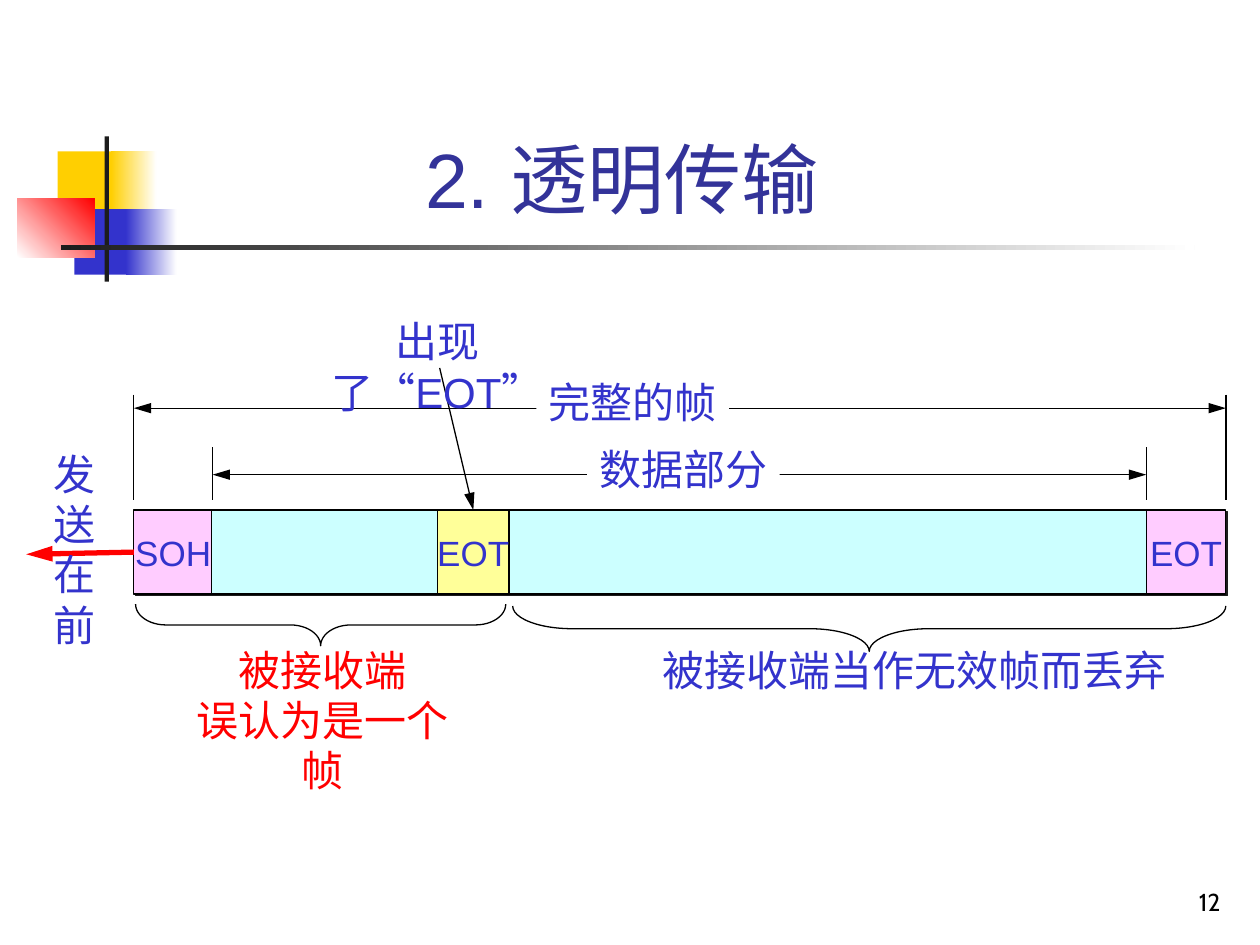
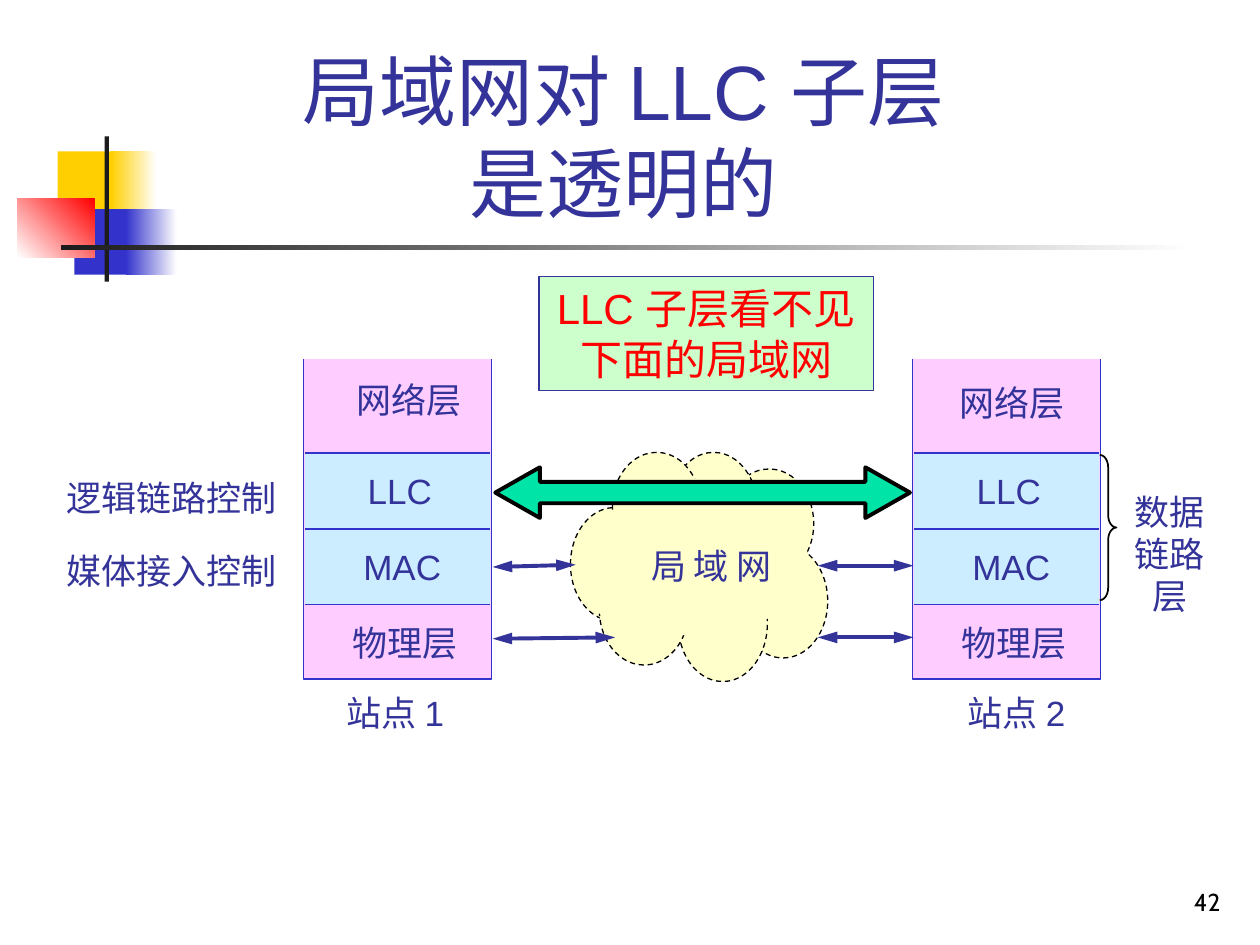
from lxml.etree import SubElement
from pptx import Presentation
from pptx.dml.color import RGBColor
from pptx.enum.dml import MSO_LINE
from pptx.enum.shapes import MSO_CONNECTOR, MSO_SHAPE
from pptx.enum.text import MSO_ANCHOR, PP_ALIGN
from pptx.oxml.ns import qn
from pptx.util import Pt

COLORS = {
    "yellow": "FFCF01", "blue": "3333CC", "red": "FF0000", "ink": "1C1C1C",
    "white": "FFFFFF", "black": "000000", "navy": "333399", "pink": "FFCCFF",
    "cyan": "CCFFFF", "pale yellow": "FFFF99", "sky": "CCECFF",
    "cream": "FFFFCC", "mint": "CCFFCC", "green": "00E4A8",
}

# Shared decoration: box, colours (two make a gradient), gradient angle
DECORATION = [
    ((33, 86.5, 34.5, 37.5), ("yellow",), 0),
    ((63.5, 86.5, 26, 37.5), ("yellow", "white"), 0),
    ((42.5, 119.5, 33, 37.5), ("blue",), 0),
    ((72, 119.5, 29, 37.5), ("blue", "white"), 0),
    ((10, 113.5, 44, 33.5), ("white", "red"), 45),
    ((59.75, 78, 2.5, 83), ("ink",), 0),
    ((34.75, 140.25, 648, 2.5), ("ink", "white"), 0),
]
PAGE_NUMBER_BOX = (554.5, 491.5, 150, 36)

# Slide 1: frame
FRAME_TITLE = ("2. 透明传输", (90.5, 16.5, 530, 115))
FRAME_TOP, FRAME_HEIGHT = 291.5, 48
# name, left, width, colour, has shadow, text
FRAME_FIELDS = [
    ("header", 76.5, 45, "pink", True, "SOH"),
    ("data", 121, 547, "cyan", True, ""),
    ("false end", 250, 41, "pale yellow", False, "EOT"),
    ("trailer", 655, 45.5, "pink", True, "EOT"),
]
# text, left, right, line height, top of end marks, label left
SPANS = [
    ("数据部分", 121.5, 655, 271.25, 255.5, 335.5),
    ("完整的帧", 76.5, 700.5, 233.25, 225.5, 306.5),
]
SPAN_MARK_BOTTOM = 286
# left, top, width, depth, corner ratio
FRAME_BRACES = [
    (77.5, 345.25, 211.5, 23.75, 0.73),
    (293, 346.25, 407.5, 26, 1.31),
]
FRAME_NOTES = [
    ("出现\n了“EOT”", (160, 177, 180, 36), "blue"),
    ("被接收端当作无效帧而丢弃", (371.5, 364.5, 302.5, 36), "blue"),
    ("被接收端\n误认为是一个帧", (93.5, 364.5, 182, 65), "red"),
    ("发送\n在前", (11.5, 252.5, 62, 65), "blue"),
]

# Slide 2: two stations on a network
NETWORK_TITLE = ("局域网对 LLC 子层\n是透明的", (86.5, 73.5, 540, 60.5))
STACK_TOP, STACK_BOTTOM, STACK_WIDTH = 205, 388, 107.5
LAYER_BORDERS = (259, 302.25, 345.5)
STATIONS = [
    {"left": 173.5, "labels": [("网络层", 23, 213), ("站点 1", 17.5, 391.5)]},
    {"left": 521.5, "labels": [("网络层", 19.5, 214.5), ("站点 2", 24.5, 391.5)]},
]
SHARED_LABELS = [("LLC", 29.5, 265), ("MAC", 27, 308), ("物理层", 21, 351.5)]
LABEL_WIDTHS = {"LLC": 51, "MAC": 59}
CLOUD_PUFFS = [
    (422, 311, 51, 65), (326, 290, 50.5, 65), (414, 268, 51, 62.5),
    (387.5, 323.5, 51, 66), (342.5, 317.5, 51, 62.5), (382.5, 258.5, 50.5, 65),
    (350, 258.5, 50.5, 62),
]
CLOUD_CENTER = (339, 273.5, 122.5, 90)
CLOUD_PATCH = [(344, 334), (347, 337), (344, 351), (340, 350), (342, 344)]
NETWORK_ARROWS = [
    ((281.5, 365), (351.5, 364.25)), ((522, 364.25), (467.25, 364.25)),
    ((281.5, 324), (329, 322.75)), ((522, 323.25), (467.25, 323.25)),
]
NETWORK_NOTES = [
    ("局 域 网", (365, 307.5, 83.5, 31), PP_ALIGN.LEFT),
    ("逻辑链路控制", (31, 268.5, 134.5, 31), PP_ALIGN.LEFT),
    ("媒体接入控制", (31, 310.5, 134.5, 31), PP_ALIGN.LEFT),
    ("数据\n链路层", (631.5, 277, 74, 55), PP_ALIGN.CENTER),
]


def color(name):
    return RGBColor.from_string(COLORS[name])


def points(values):
    return [Pt(value) for value in values]


def write_text(shape, text, *, size=24, ink="blue", align=PP_ALIGN.CENTER,
               anchor=MSO_ANCHOR.TOP, font="Arial", wrap=False):
    frame = shape.text_frame
    frame.word_wrap = wrap
    frame.vertical_anchor = anchor
    for index, line in enumerate(text.split("\n")):
        paragraph = frame.add_paragraph() if index else frame.paragraphs[0]
        paragraph.alignment = align
        run = paragraph.add_run()
        run.text = line
        run.font.name = font
        run.font.size = Pt(size)
        run.font.color.rgb = color(ink)


def add_label(slide, text, box, **text_format):
    write_text(slide.shapes.add_textbox(*points(box)), text, **text_format)


def paint(shape, fill=None, line=None, width=0.75):
    shape.shadow.inherit = False
    if fill:
        shape.fill.solid()
        shape.fill.fore_color.rgb = color(fill)
    else:
        shape.fill.background()
    if line:
        shape.line.color.rgb = color(line)
        shape.line.width = Pt(width)
    else:
        shape.line.fill.background()


def add_shape(slide, kind, box, **look):
    shape = slide.shapes.add_shape(kind, *points(box))
    paint(shape, **look)
    return shape


def add_outline(slide, corners, close, **look):
    builder = slide.shapes.build_freeform(*points(corners[0]), scale=1.0)
    builder.add_line_segments([points(corner) for corner in corners[1:]], close=close)
    paint(builder.convert_to_shape(), **look)


def add_line(slide, start, end, ink="black", width=0.75, heads=()):
    connector = slide.shapes.add_connector(
        MSO_CONNECTOR.STRAIGHT, *points(start), *points(end))
    connector.line.color.rgb = color(ink)
    connector.line.width = Pt(width)
    outline = connector.line._get_or_add_ln()
    for head in heads:
        SubElement(outline, qn(f"a:{head}"), type="triangle", w="med", len="lg")
    SubElement(connector._element.spPr, qn("a:effectLst"))
    return connector


def add_hard_shadow(shape):
    effects = shape._element.spPr.find(qn("a:effectLst"))
    shadow = SubElement(effects, qn("a:outerShdw"), dist=str(Pt(1.4)),
                        dir="2700000", algn="ctr", rotWithShape="0")
    SubElement(shadow, qn("a:srgbClr"), val=COLORS["ink"])


def add_base_slide(presentation, title, page_number):
    """Add a slide with the shared decoration, title and page number."""
    slide = presentation.slides.add_slide(presentation.slide_layouts[6])
    for box, colors, angle in DECORATION:
        block = add_shape(slide, MSO_SHAPE.RECTANGLE, box, fill=colors[0])
        if len(colors) == 2:
            block.fill.gradient()
            block.fill.gradient_angle = angle
            for stop, name in zip(block.fill.gradient_stops, colors):
                stop.color.rgb = color(name)
    add_label(slide, *title, size=44, ink="navy", anchor=MSO_ANCHOR.BOTTOM, wrap=True)
    add_label(slide, page_number, PAGE_NUMBER_BOX, size=14, ink="black", font="Cabin",
              align=PP_ALIGN.RIGHT, anchor=MSO_ANCHOR.BOTTOM, wrap=True)
    return slide


def add_downward_brace(slide, left, top, width, depth, corner):
    """Turn a left brace so that it spans width and points down."""
    middle_x, middle_y = left + width / 2, top + depth / 2
    box = (middle_x - depth / 2, middle_y - width / 2, depth, width)
    brace = add_shape(slide, MSO_SHAPE.LEFT_BRACE, box, line="black")
    brace.rotation = 270
    brace.adjustments[0] = corner


def build_frame_slide(presentation):
    slide = add_base_slide(presentation, FRAME_TITLE, "12")
    fields = {}
    for name, left, width, fill, has_shadow, text in FRAME_FIELDS:
        field = add_shape(slide, MSO_SHAPE.RECTANGLE,
                          (left, FRAME_TOP, width, FRAME_HEIGHT), fill=fill, line="black")
        if has_shadow:
            add_hard_shadow(field)
        if text:
            write_text(field, text, size=20, anchor=MSO_ANCHOR.MIDDLE)
        fields[name] = field

    send_arrow = add_line(slide, (76.5, 316), (15, 316.75), "red", 3, ["tailEnd"])
    send_arrow.begin_connect(fields["header"], 1)
    pointer = add_line(slide, (251.25, 210.25), (270.5, FRAME_TOP), heads=["tailEnd"])
    pointer.end_connect(fields["false end"], 0)

    for text, left, right, height, mark_top, label_left in SPANS:
        add_line(slide, (left, height), (right, height), heads=["headEnd", "tailEnd"])
        label = add_shape(slide, MSO_SHAPE.RECTANGLE,
                          (label_left, height - 21.5, 110, 36), fill="white")
        write_text(label, text)
        for x in (left, right):
            add_line(slide, (x, mark_top), (x, SPAN_MARK_BOTTOM))
    for brace in FRAME_BRACES:
        add_downward_brace(slide, *brace)
    for text, box, ink in FRAME_NOTES:
        add_label(slide, text, box, ink=ink)


def add_station(slide, left, labels):
    right = left + STACK_WIDTH
    add_outline(slide, [(left, STACK_TOP), (left, STACK_BOTTOM),
                        (right, STACK_BOTTOM), (right, STACK_TOP)],
                close=False, fill="pink", line="blue")
    top, bottom = LAYER_BORDERS[0], LAYER_BORDERS[-1]
    add_shape(slide, MSO_SHAPE.RECTANGLE,
              (left + 0.75, top, STACK_WIDTH - 1.5, bottom - top), fill="sky")
    for y in LAYER_BORDERS:
        add_line(slide, (left + 0.75, y), (right - 0.75, y), "blue", 1)
    for text, offset, y in labels + SHARED_LABELS:
        add_label(slide, text, (left + offset, y, LABEL_WIDTHS.get(text, 74.5), 31),
                  size=20, ink="navy", align=PP_ALIGN.LEFT)


def add_cloud(slide):
    for puff in CLOUD_PUFFS:
        shape = add_shape(slide, MSO_SHAPE.OVAL, puff, fill="cream", line="black")
        shape.line.dash_style = MSO_LINE.DASH
    add_shape(slide, MSO_SHAPE.OVAL, CLOUD_CENTER, fill="cream")
    add_outline(slide, CLOUD_PATCH, close=True, fill="cream")


def build_network_slide(presentation):
    slide = add_base_slide(presentation, NETWORK_TITLE, "42")
    for station in STATIONS:
        add_station(slide, **station)
    add_cloud(slide)
    for start, end in NETWORK_ARROWS:
        add_line(slide, start, end, "navy", 2.25, ["headEnd", "tailEnd"])
    link = add_shape(slide, MSO_SHAPE.LEFT_RIGHT_ARROW, (283, 267, 237, 29),
                     fill="green", line="black", width=2.25)
    link.adjustments[0], link.adjustments[1] = 0.42, 0.88
    brace = add_shape(slide, MSO_SHAPE.RIGHT_BRACE, (628.5, 260, 9.5, 83),
                      line="black", width=1)
    brace.adjustments[0] = 0.75
    for text, box, align in NETWORK_NOTES:
        add_label(slide, text, box, size=20, ink="navy", align=align)
    callout = add_shape(slide, MSO_SHAPE.RECTANGLE, (308, 158, 191, 65),
                        fill="mint", line="navy")
    write_text(callout, "LLC 子层看不见\n下面的局域网", ink="red")


def main():
    presentation = Presentation()
    presentation.slide_width, presentation.slide_height = Pt(720), Pt(540)
    build_frame_slide(presentation)
    build_network_slide(presentation)
    presentation.save("out.pptx")


if __name__ == "__main__":
    main()
